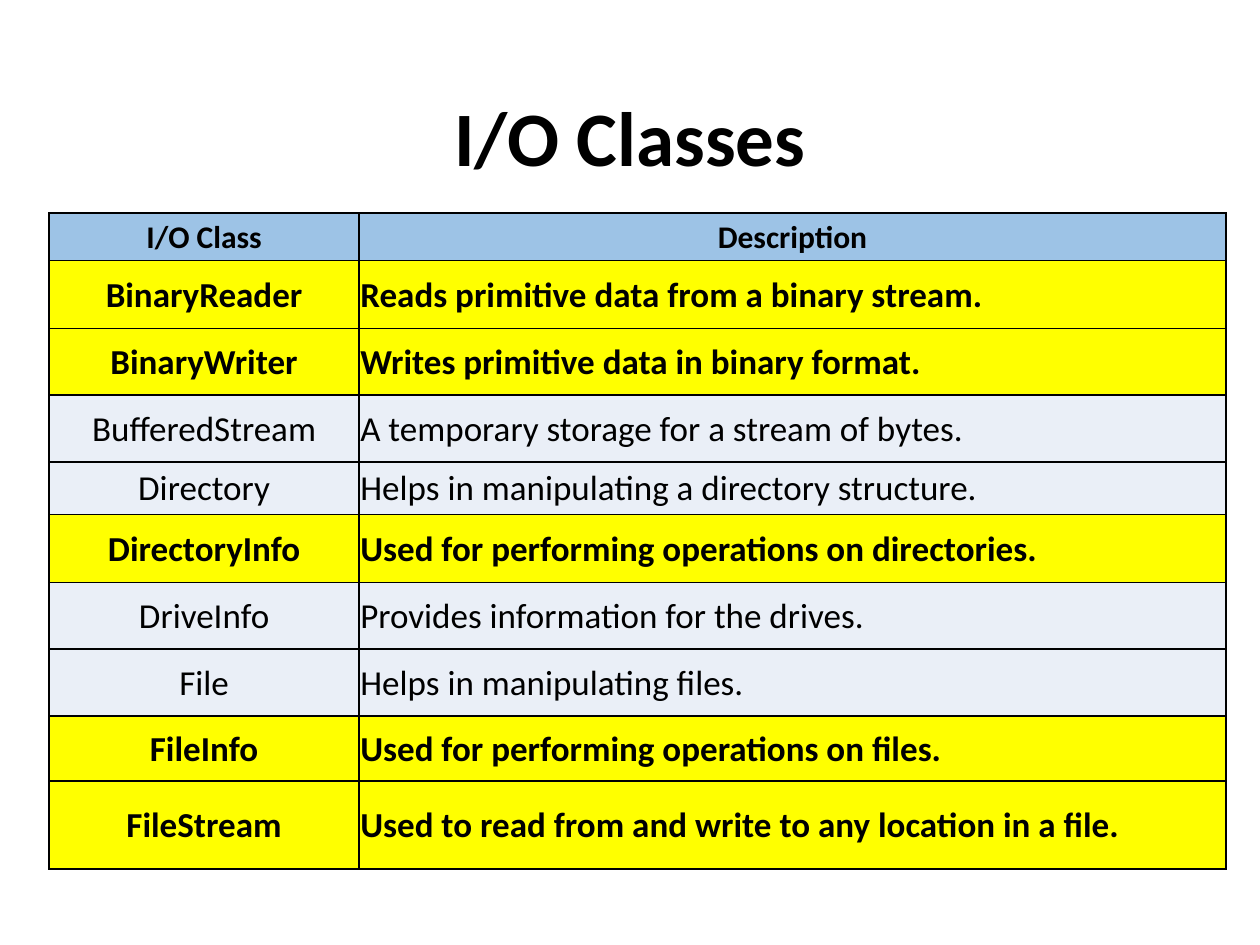
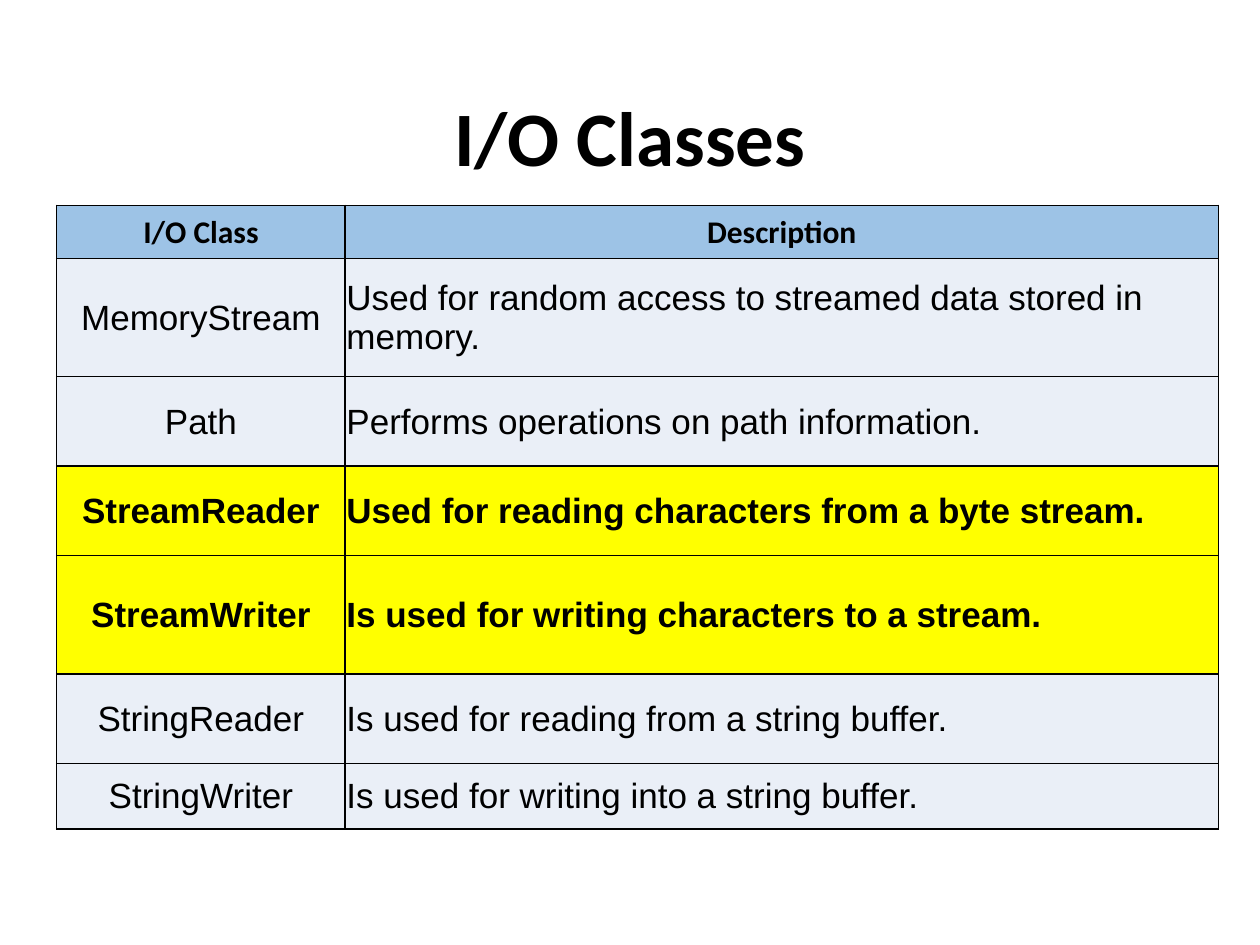
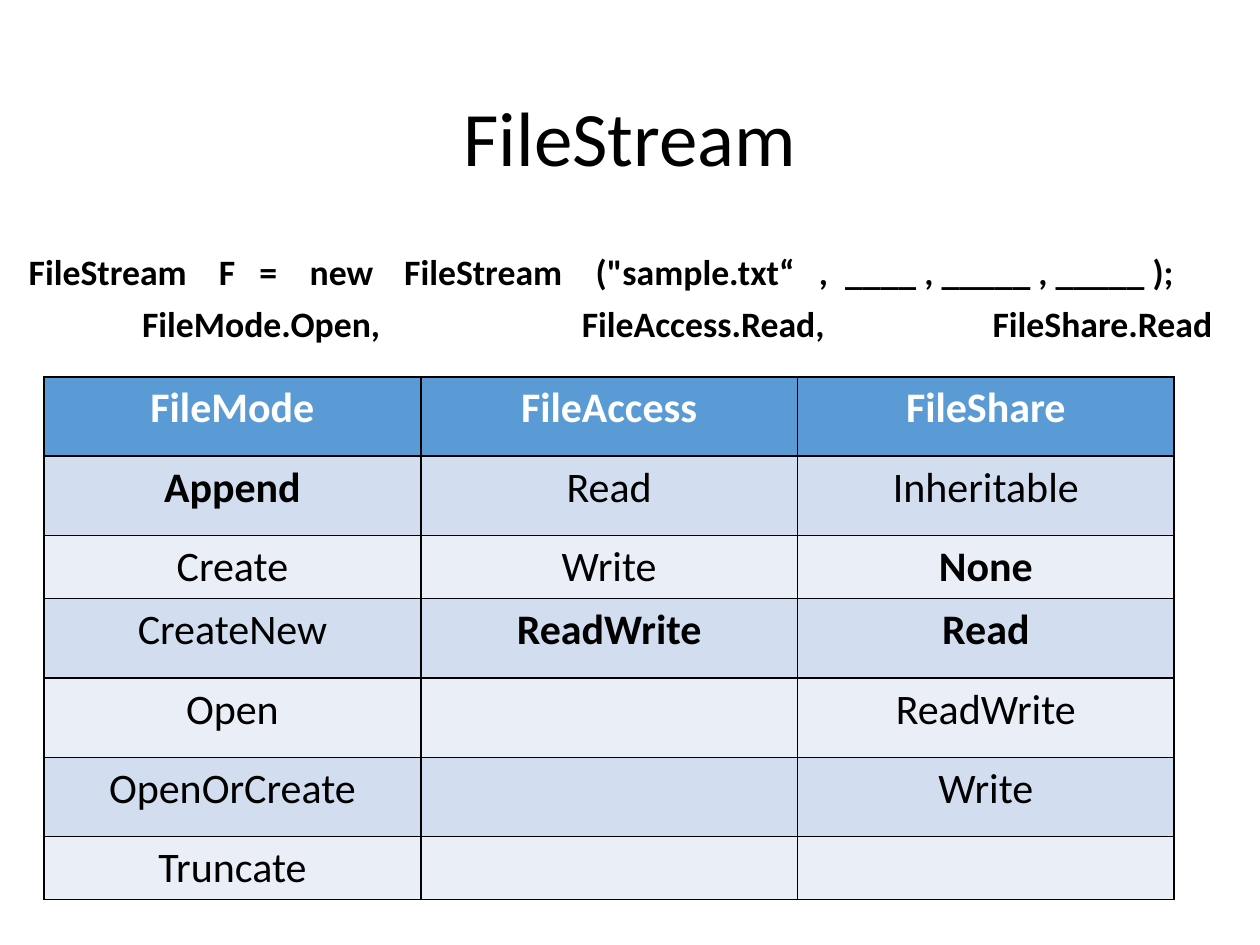
from lxml.etree import SubElement as Sub
from pptx import Presentation
from pptx.dml.color import RGBColor
from pptx.enum.text import MSO_ANCHOR as Anchor, PP_ALIGN as Align
from pptx.oxml import parse_xml
from pptx.oxml.ns import nsdecls, qn
from pptx.util import Inches, Pt

WIDE, HIGH = Inches(10), Inches(7.5)
BLACK, WHITE = "000000", "FFFFFF"
SKY, BLUE, MIST, PALE, YELLOW = "9DC3E6", "5B9BD5", "D2DEEF", "EAEFF7", "FFFF00"

# Boxes are left, top, width and height in percent of the slide.
TITLE = (6.9, 5.33, 86.2, 19.33)
CODE = (1.3, 26.67, 97.4, 15.07)
TIGHT = (0.01, 0.01, 0.01, 0)
ROOMY = (0.07, 0.05, 0.07, 0.05)
SIDES = ("left", "top", "right", "bottom")

HEAD = ("I/O Class", "Description")
FIRST = [
    ("BinaryReader", "Reads primitive data from a binary stream."),
    ("BinaryWriter", "Writes primitive data in binary format."),
    ("BufferedStream", "A temporary storage for a stream of bytes."),
    ("Directory", "Helps in manipulating a directory structure."),
    ("DirectoryInfo", "Used for performing operations on directories."),
    ("DriveInfo", "Provides information for the drives."),
    ("File", "Helps in manipulating files."),
    ("FileInfo", "Used for performing operations on files."),
    ("FileStream", "Used to read from and write to any location in a file."),
]
SECOND = [
    ("MemoryStream", "Used for random access to streamed data stored in memory."),
    ("Path", "Performs operations on path information."),
    ("StreamReader", "Used for reading characters from a byte stream."),
    ("StreamWriter", "Is used for writing characters to a stream."),
    ("StringReader", "Is used for reading from a string buffer."),
    ("StringWriter", "Is used for writing into a string buffer."),
]
KEY = {"BinaryReader", "BinaryWriter", "DirectoryInfo", "FileInfo",
       "FileStream", "StreamReader", "StreamWriter"}
ENUMS = [
    ("FileMode", "FileAccess", "FileShare"),
    ("Append", "Read", "Inheritable"),
    ("Create", "Write", "None"),
    ("CreateNew", "ReadWrite", "Read"),
    ("Open", "", "ReadWrite"),
    ("OpenOrCreate", "", "Write"),
    ("Truncate", "", ""),
]
STRONG = {(1, 0), (2, 2), (3, 1), (3, 2)}
# Each code line: its parts, and the tab stops in inches between them.
LINES = [
    ("FileStream\tF\t=\tnew\tFileStream\t(\"sample.txt“\t,\t____ , _____ , _____ );",
     (1.51, 1.83, 2.23, 2.98, 4.5, 6.27, 6.48)),
    ("\tFileMode.Open,\tFileAccess.Read,\tFileShare.Read", (0.9, 4.39, 7.65)),
]


def paint(code):
    return RGBColor.from_string(code)


def place(box):
    return [int(full * part / 100) for full, part in zip((WIDE, HIGH) * 2, box)]


def write(para, text, size, color=BLACK, bold=False, face="Calibri", **form):
    """Put one run in a paragraph; form holds paragraph settings."""
    for name, value in form.items():
        setattr(para, name, value)
    run = para.add_run()
    run.text = text
    for name, value in {"size": Pt(size), "bold": bold, "name": face}.items():
        setattr(run.font, name, value)
    run.font.color.rgb = paint(color)


def frame(slide, box, anchor):
    area = slide.shapes.add_textbox(*place(box)).text_frame
    area.word_wrap = True
    area.vertical_anchor = anchor
    return area


def start(deck, text, bold=True):
    """Add a blank slide with its title."""
    slide = deck.slides.add_slide(deck.slide_layouts[6])
    area = frame(slide, TITLE, Anchor.MIDDLE)
    write(area.paragraphs[0], text, 44, bold=bold,
          alignment=Align.CENTER, line_spacing=0.9)
    return slide


def edge(cell):
    """Draw a thin black line on all four sides."""
    props = cell._tc.get_or_add_tcPr()
    for spot, side in enumerate("LRTB"):
        props.insert(spot, parse_xml(
            f'<a:ln{side} {nsdecls("a")} w="12700"><a:solidFill>'
            f'<a:srgbClr val="{BLACK}"/></a:solidFill></a:ln{side}>'))


def grid(slide, box, cols, rows, cells, style, inset, anchor):
    """Share the box by column and row weights; style(r, c) gives fill and text form."""
    spot = place(box)
    table = slide.shapes.add_table(len(rows), len(cols), *spot).table
    for parts, sizes, full, name in ((table.columns, cols, spot[2], "width"),
                                     (table.rows, rows, spot[3], "height")):
        for part, size in zip(parts, sizes):
            setattr(part, name, int(full * size / sum(sizes)))
    for r, line in enumerate(cells):
        for c, text in enumerate(line):
            cell = table.cell(r, c)
            fill, form = style(r, c)
            cell.fill.solid()
            cell.fill.fore_color.rgb = paint(fill)
            edge(cell)
            cell.vertical_anchor = anchor
            for side, gap in zip(SIDES, inset):
                setattr(cell, f"margin_{side}", Inches(gap))
            if text:
                write(cell.text_frame.paragraphs[0], text, **form)


def classes(deck, box, cols, rows, items, face):
    """Slide that lists classes, the key ones marked yellow."""
    def style(r, c):
        if r == 0:
            return SKY, {"size": 18, "bold": True, "alignment": Align.CENTER}
        key = items[r - 1][0] in KEY
        return YELLOW if key else PALE, {
            "size": 20, "bold": key, "face": face,
            "alignment": Align.LEFT if c else Align.CENTER}

    grid(start(deck, "I/O Classes"), box, cols, rows, [HEAD] + items,
         style, TIGHT, Anchor.MIDDLE)


def code(slide, box):
    area = frame(slide, box, Anchor.TOP)
    for n, (text, stops) in enumerate(LINES):
        para = area.add_paragraph() if n else area.paragraphs[0]
        write(para, text, 20.4, bold=True, line_spacing=0.8, space_before=Pt(10))
        tabs = Sub(para._p.get_or_add_pPr(), qn("a:tabLst"))
        for stop in stops:
            Sub(tabs, qn("a:tab"), pos=str(Inches(stop)), algn="l")


def stream(deck):
    def style(r, c):
        fill = (PALE, MIST)[r % 2] if r else BLUE
        return fill, {"size": 24, "color": BLACK if r else WHITE,
                      "bold": r == 0 or (r, c) in STRONG,
                      "alignment": Align.CENTER}

    slide = start(deck, "FileStream", bold=False)
    code(slide, CODE)
    grid(slide, (3.5, 39.87, 89.7, 55.33), [1] * 3,
         [63, 63, 50, 63, 63, 63, 50], ENUMS, style, ROOMY, Anchor.TOP)


def main():
    deck = Presentation()
    deck.slide_width, deck.slide_height = WIDE, HIGH
    classes(deck, (3.9, 22.53, 93.4, 69.47), [246, 688],
            [38, 54, 53, 53, 42, 54, 53, 53, 52, 70], FIRST, "Calibri")
    classes(deck, (4.5, 21.73, 92.2, 66), [229, 693],
            [42, 94, 71, 71, 94, 71, 52], SECOND, "Arial")
    stream(deck)
    deck.save("out.pptx")


if __name__ == "__main__":
    main()
